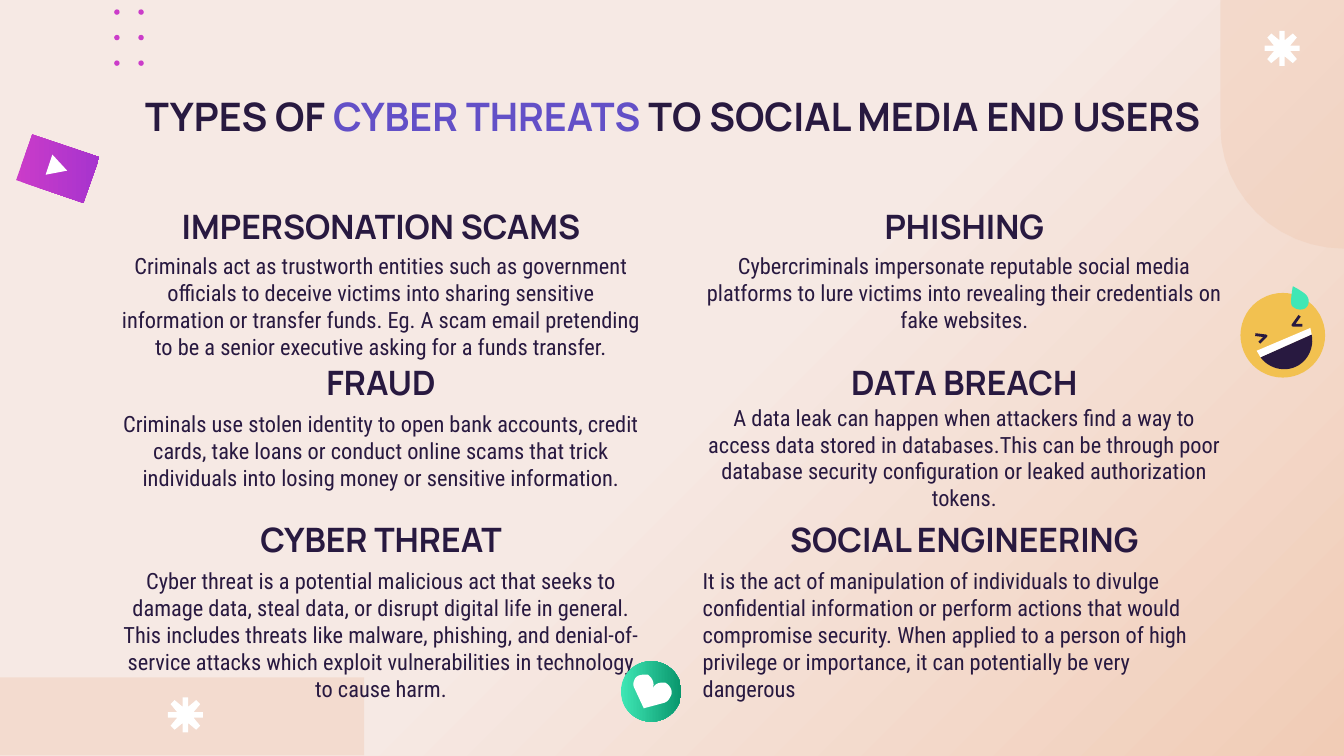
from lxml import etree
from pptx import Presentation
from pptx.dml.color import RGBColor
from pptx.enum.shapes import MSO_SHAPE
from pptx.enum.text import MSO_ANCHOR, MSO_AUTO_SIZE, PP_ALIGN
from pptx.oxml.ns import qn
from pptx.util import Inches, Pt

OVAL, RECTANGLE = MSO_SHAPE.OVAL, MSO_SHAPE.RECTANGLE
TOP, BOTTOM = MSO_ANCHOR.TOP, MSO_ANCHOR.BOTTOM
LEFT, CENTER = PP_ALIGN.LEFT, PP_ALIGN.CENTER
NO_AUTOFIT = MSO_AUTO_SIZE.NONE

INK = RGBColor(0x28, 0x19, 0x40)
VIOLET = RGBColor(0x63, 0x50, 0xC7)
MAGENTA = RGBColor(0xCB, 0x3C, 0xC9)
PURPLE = RGBColor(0xA6, 0x33, 0xCE)
CREAM = RGBColor(0xF6, 0xE9, 0xE4)
PEACH = RGBColor(0xF1, 0xCC, 0xB6)
YELLOW = RGBColor(0xF2, 0xC1, 0x50)
MINT = RGBColor(0x3F, 0xE7, 0xB5)
GREEN = RGBColor(0x09, 0x96, 0x6C)
WHITE = RGBColor(0xFF, 0xFF, 0xFF)
HEADING_FONT, BODY_FONT = "Manrope", "Roboto Condensed"

THREATS = [
    ("IMPERSONATION SCAMS", "Criminals act as trustworth entities such as government officials to deceive victims into sharing sensitive information or transfer funds. Eg. A scam email pretending to be a senior executive asking for a funds transfer.", 0.27, CENTER),
    ("PHISHING", "Cybercriminals impersonate reputable social media platforms to lure victims into revealing their credentials on fake websites.", 0.27, CENTER),
    ("FRAUD", "Criminals use stolen identity to open bank accounts, credit cards, take loans or conduct online scams that trick individuals into losing money or sensitive information.", 0.28, CENTER),
    ("DATA BREACH", "A data leak can happen when attackers find a way to access data stored in databases.This can be through poor database security configuration or leaked authorization tokens.", 0.23, CENTER),
    ("CYBER THREAT", "Cyber threat is a potential malicious act that seeks to damage data, steal data, or disrupt digital life in general. This includes threats like malware, phishing, and denial-of-service attacks which exploit vulnerabilities in technology to cause harm.", 0.28, CENTER),
    ("SOCIAL ENGINEERING", "It is the act of manipulation of individuals to divulge confidential information or perform actions that would compromise security. When applied to a person of high privilege or importance, it can potentially be very dangerous", 0.28, LEFT),
]


def fill_gradient(fill, start, end, angle=0, start_at=0):
    """Fill with two colours, holding the first until start_at."""
    fill.gradient()
    fill.gradient_angle = angle
    first, last = fill.gradient_stops
    first.color.rgb, first.position = start, start_at
    last.color.rgb, last.position = end, 1


def paint(shape, color, alpha=100):
    """Give a shape a flat fill without outline or shadow."""
    shape.shadow.inherit = False
    shape.line.fill.background()
    shape.fill.solid()
    shape.fill.fore_color.rgb = color
    if alpha < 100:
        rgb = shape.fill._xPr.find(qn("a:solidFill"))[0]
        etree.SubElement(rgb, qn("a:alpha"), val=str(alpha * 1000))
    return shape


def add_preset(slide, kind, left, top, width, height, color, alpha=100):
    """Add a painted preset shape."""
    box = [Inches(value) for value in (left, top, width, height)]
    return paint(slide.shapes.add_shape(kind, *box), color, alpha)


def flatten(path, steps=12):
    """Turn points and Bezier segments (six numbers) into points."""
    points = [path[0]]
    for segment in path[1:]:
        if len(segment) == 2:
            points.append(segment)
            continue
        x0, y0 = points[-1]
        x1, y1, x2, y2, x3, y3 = segment
        for step in range(1, steps + 1):
            t = step / steps
            a, b, c, d = (1 - t) ** 3, 3 * t * (1 - t) ** 2, 3 * t * t * (1 - t), t ** 3
            points.append((a * x0 + b * x1 + c * x2 + d * x3,
                           a * y0 + b * y1 + c * y2 + d * y3))
    return points


def add_outline(slide, left, top, path, close=True):
    """Build a freeform from a path relative to left and top."""
    points = [(Inches(left + x), Inches(top + y)) for x, y in flatten(path)]
    builder = slide.shapes.build_freeform(*points[0])
    builder.add_line_segments(points[1:], close=close)
    return builder.convert_to_shape()


def add_dots(slide, left, top):
    """Add the grid of small dots."""
    for column in range(2):
        for row in range(3):
            add_preset(slide, OVAL, left + column * 0.18, top + row * 0.19,
                       0.04, 0.04, MAGENTA)


def add_asterisk(slide, center_x, center_y):
    """Add an eight-armed asterisk around its centre."""
    quarter = [(0.02, 0.13), (0.02, 0.06), (0.08, 0.11),
               (0.11, 0.08), (0.06, 0.02), (0.13, 0.02)]
    path = []
    for _ in range(4):
        path += quarter
        quarter = [(y, -x) for x, y in quarter]
    paint(add_outline(slide, center_x, center_y, path), WHITE)


def add_corner(slide, left, top):
    """Add the translucent rounded panel in the top corner."""
    path = [(0, 0), (0, 0.94), (0, 1.44, 0.41, 1.85, 0.92, 1.85), (0.92, 0)]
    paint(add_outline(slide, left, top, path), PEACH, 45)


def add_video_tile(slide, left, top):
    """Add the tilted tile with a play mark."""
    tile = add_outline(slide, left, top,
                       [(0.12, 0), (0.62, 0.17), (0.5, 0.51), (0, 0.34)])
    fill_gradient(paint(tile, MAGENTA).fill, MAGENTA, PURPLE)
    play = [(0.27, 0.15), (0.22, 0.3), (0.38, 0.27)]
    paint(add_outline(slide, left, top, play), WHITE)


def add_laughing_face(slide, left, top):
    """Add the laughing face with its drop of sweat."""
    add_preset(slide, OVAL, left, top, 0.63, 0.63, YELLOW)
    teeth = [(0.52, 0.26), (0.12, 0.43), (0.15, 0.48), (0.53, 0.31)]
    mouth = [(0.41, 0.55), (0.5, 0.51, 0.55, 0.41, 0.53, 0.31),
             (0.15, 0.48), (0.21, 0.56, 0.32, 0.59, 0.41, 0.55)]
    drop = [(0.5, 0.03), (0.52, 0.07, 0.5, 0.11, 0.47, 0.12),
            (0.44, 0.13, 0.4, 0.12, 0.38, 0.09),
            (0.37, 0.05, 0.39, -0.05, 0.39, -0.05),
            (0.39, -0.05, 0.49, 0, 0.5, 0.03)]
    for path, color in ((teeth, WHITE), (mouth, INK), (drop, MINT)):
        paint(add_outline(slide, left, top, path), color)
    for path in ([(0.11, 0.31), (0.19, 0.32), (0.14, 0.37)],
                 [(0.44, 0.17), (0.39, 0.24), (0.46, 0.24)]):
        eye = add_outline(slide, left, top, path, close=False)
        eye.shadow.inherit = False
        eye.fill.background()
        eye.line.color.rgb = INK
        eye.line.width = Pt(1.5)


def add_heart_badge(slide, left, top):
    """Add the round badge with a tilted heart."""
    badge = add_preset(slide, OVAL, left, top, 0.45, 0.45, MINT)
    fill_gradient(badge.fill, MINT, GREEN)
    heart = [(0.17, 0.1), (0.14, 0.1, 0.11, 0.11, 0.1, 0.14),
             (0.09, 0.16, 0.09, 0.18, 0.1, 0.2), (0.17, 0.35), (0.32, 0.31),
             (0.35, 0.3, 0.36, 0.28, 0.37, 0.26),
             (0.39, 0.23, 0.37, 0.18, 0.33, 0.16),
             (0.32, 0.16, 0.31, 0.16, 0.3, 0.16),
             (0.28, 0.16, 0.25, 0.17, 0.24, 0.2), (0.24, 0.19),
             (0.25, 0.16, 0.23, 0.12, 0.2, 0.1)]
    paint(add_outline(slide, left, top, heart), WHITE)


def format_text(shape, font_name, size, bold, align, anchor):
    """Format a one-paragraph text shape and return its paragraph."""
    frame = shape.text_frame
    frame.word_wrap = True
    frame.auto_size = NO_AUTOFIT
    frame.vertical_anchor = anchor
    frame.margin_left = frame.margin_right = Inches(0.1)
    frame.margin_top = frame.margin_bottom = Inches(0.1)
    paragraph = frame.paragraphs[0]
    paragraph.alignment = align
    font = paragraph.font
    font.name, font.size, font.bold = font_name, Pt(size), bold
    font.color.rgb = INK
    return paragraph


def add_title(slide, left, top, width, height):
    """Place the title with its highlighted words."""
    title = slide.shapes.title
    title.left, title.top = Inches(left), Inches(top)
    title.width, title.height = Inches(width), Inches(height)
    paragraph = format_text(title, HEADING_FONT, 21, True, CENTER, TOP)
    for words in ("TYPES OF ", "CYBER THREATS ", "TO SOCIAL MEDIA END USERS"):
        paragraph.add_run().text = words
    paragraph.runs[1].font.color.rgb = VIOLET


def add_threat(slide, left, top, width, threat):
    """Add one threat: a heading with its description below."""
    name, description, offset, align = threat
    heading = slide.shapes.add_textbox(Inches(left), Inches(top), Inches(width), Inches(0.42))
    format_text(heading, HEADING_FONT, 18, True, CENTER, BOTTOM).add_run().text = name
    body = slide.shapes.add_textbox(Inches(left), Inches(top + offset),
                                    Inches(width), Inches(0.63))
    format_text(body, BODY_FONT, 12, False, align, TOP).add_run().text = description


def main():
    """Build the slide and save it."""
    deck = Presentation()
    deck.slide_width = Inches(10)
    deck.slide_height = deck.slide_width * 9 // 16
    slide = deck.slides.add_slide(deck.slide_layouts[5])
    fill_gradient(slide.background.fill, CREAM, PEACH, 315, 0.52)
    add_dots(slide, 0.85, 0.07)
    add_corner(slide, 9.08, 0)
    add_asterisk(slide, 9.54, 0.36)
    add_video_tile(slide, 0.12, 1)
    add_preset(slide, RECTANGLE, 0, 5.04, 2.71, 0.58, PEACH, 45)
    add_asterisk(slide, 1.38, 5.32)
    add_title(slide, 0.79, 0.59, 8.43, 0.63)
    for index, threat in enumerate(THREATS):
        row, column = divmod(index, 2)
        add_threat(slide, 0.79 + column * 4.34, 1.51 + row * 2.33 / 2, 4.09, threat)
    add_laughing_face(slide, 9.23, 2.18)
    add_heart_badge(slide, 4.62, 4.92)
    deck.save("out.pptx")


if __name__ == "__main__":
    main()
